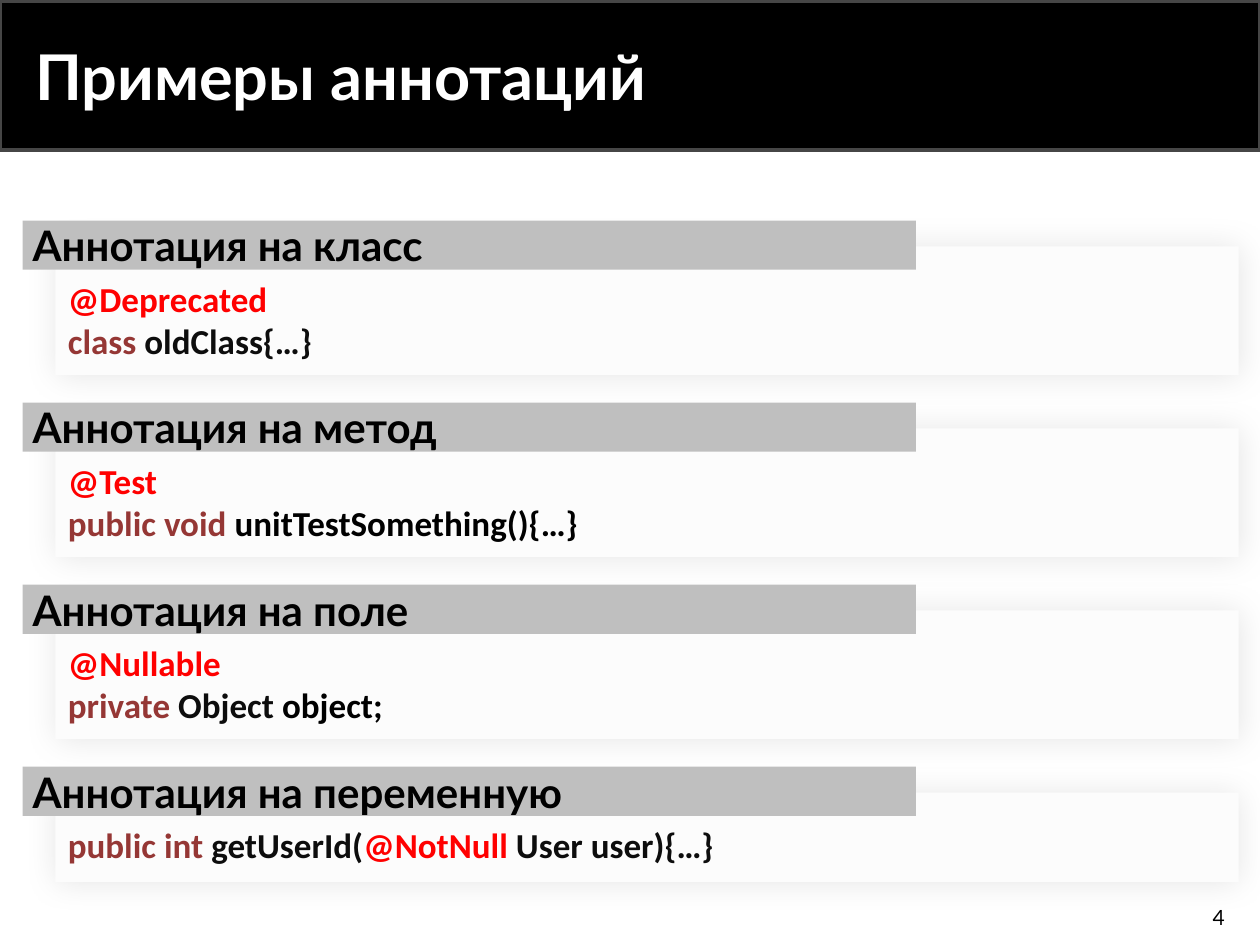
from dataclasses import dataclass
from typing import NamedTuple

from lxml import etree
from pptx import Presentation
from pptx import util as u
from pptx.dml.color import RGBColor
from pptx.enum import shapes, text
from pptx.oxml import ns

CELL = u.Inches(0.1)  # the slide is a grid of 100 columns by 75 rows
COLUMNS, ROWS = 100, 75
FIRST_ROW, ROW_STEP = 17.5, 14.45
MARGIN, INDENT = 1.8, 4.4


@dataclass(frozen=True)
class Theme:
    black: str = "000000"
    white: str = "FFFFFF"
    banner_edge: str = "464646"
    card: str = "FCFCFC"
    strip: str = "BFBFBF"
    annotation: str = "FF0000"
    keyword: str = "953735"
    code: str = "0D0D0D"
    heading_font: str = "Lato"
    code_font: str = "Calibri"
    title_size: int = 36
    heading_size: int = 24
    code_size: int = 20
    number_size: int = 12


THEME = Theme()


class Box(NamedTuple):
    """Place on the grid, in columns and rows."""
    left: float
    top: float
    width: float
    height: float

    def emu(self) -> list[int]:
        return [round(length * CELL) for length in self]


class Span(NamedTuple):
    wording: str
    color: str


class Example(NamedTuple):
    heading: str
    lines: list[list[Span]]
    card_rows: float = 10.2
    code_rows: float = 7.7


def annotation(wording: str) -> Span:
    return Span(wording, THEME.annotation)


def keyword(wording: str) -> Span:
    return Span(wording, THEME.keyword)


def code(wording: str, color: str = THEME.code) -> Span:
    return Span(wording, color)


EXAMPLES = [
    Example("Аннотация на класс", [
        [annotation("@Deprecated")],
        [keyword("class "), code("oldClass{…}")]]),
    Example("Аннотация на метод", [
        [annotation("@Test")],
        [keyword("public void "), code("unitTestSomething(){…}", THEME.black)]]),
    Example("Аннотация на поле", [
        [annotation("@Nullable")],
        [keyword("private "), code("Object "), code("object;", THEME.black)]]),
    Example("Аннотация на переменную", [
        [keyword("public int "), code("getUserId("), annotation("@NotNull "),
         code("User user){…}")]], card_rows=7.1, code_rows=4.4),
]


def write(frame, lines: list[list[Span]], *, font: str, size: float, bold: bool = True,
          align=text.PP_ALIGN.LEFT, anchor=text.MSO_ANCHOR.MIDDLE,
          space_after: float = 0) -> None:
    frame.word_wrap = True
    frame.auto_size = text.MSO_AUTO_SIZE.NONE
    frame.vertical_anchor = anchor
    for index, spans in enumerate(lines):
        paragraph = frame.add_paragraph() if index else frame.paragraphs[0]
        paragraph.alignment = align
        paragraph.space_before, paragraph.space_after = u.Pt(0), u.Pt(space_after)
        for span in spans:
            run = paragraph.add_run()
            run.text = span.wording
            run.font.name, run.font.size, run.font.bold = font, u.Pt(size), bold
            run.font.color.rgb = RGBColor.from_string(span.color)


def add_rectangle(parent, box: Box, fill: str):
    rectangle = parent.add_shape(shapes.MSO_SHAPE.RECTANGLE, *box.emu())
    rectangle.shadow.inherit = False
    rectangle.fill.solid()
    rectangle.fill.fore_color.rgb = RGBColor.from_string(fill)
    rectangle.line.fill.background()
    return rectangle


def add_soft_shadow(shape, blur: float = 19, opacity: int = 10) -> None:
    effects = shape._element.spPr.find(ns.qn("a:effectLst"))
    shadow = etree.SubElement(effects, ns.qn("a:outerShdw"), blurRad=str(u.Pt(blur)),
                              dist="0", dir="0", algn="ctr", rotWithShape="0")
    color = etree.SubElement(shadow, ns.qn("a:srgbClr"), val=THEME.black)
    etree.SubElement(color, ns.qn("a:alpha"), val=str(opacity * 1000))


def add_title(slide, wording: str) -> None:
    banner = add_rectangle(slide.shapes, Box(0, 0.1, COLUMNS, 11.8), THEME.black)
    banner.line.color.rgb = RGBColor.from_string(THEME.banner_edge)
    banner.line.width = u.Pt(2)
    title = slide.shapes.title
    banner._element.addnext(title._element)  # title in front of its banner
    title.left, title.top, title.width, title.height = Box(MARGIN, 1, 81.5, 10).emu()
    write(title.text_frame, [[Span(wording, THEME.white)]],
          font=THEME.heading_font, size=THEME.title_size)


def add_example(slide, example: Example, top: float) -> None:
    group = slide.shapes.add_group_shape().shapes
    card = add_rectangle(group, Box(INDENT, top + 2.05, 93.9, example.card_rows), THEME.card)
    add_soft_shadow(card)

    strip = add_rectangle(group, Box(MARGIN, top, 70.9, 3.9), THEME.strip)
    frame = strip.text_frame
    frame.margin_left = frame.margin_right = u.Inches(0.08)
    frame.margin_top = frame.margin_bottom = u.Inches(0.04)
    write(frame, [[Span(example.heading, THEME.black)]], font=THEME.heading_font,
          size=THEME.heading_size, space_after=6)

    listing = group.add_textbox(*Box(INDENT, top + 4.05, 79.5, example.code_rows).emu())
    write(listing.text_frame, example.lines, font=THEME.code_font,
          size=THEME.code_size, anchor=text.MSO_ANCHOR.TOP)
    listing.text_frame.auto_size = text.MSO_AUTO_SIZE.SHAPE_TO_FIT_TEXT


def add_page_number(slide, number: int) -> None:
    corner = slide.shapes.add_textbox(*Box(75.4, 71.3, 22.8, 3).emu())
    write(corner.text_frame, [[Span(str(number), THEME.black)]], font=THEME.heading_font,
          size=THEME.number_size, bold=False, align=text.PP_ALIGN.RIGHT)


def main() -> None:
    deck = Presentation()
    deck.slide_width, deck.slide_height = COLUMNS * CELL, ROWS * CELL
    slide = deck.slides.add_slide(deck.slide_layouts[5])
    add_title(slide, "Примеры аннотаций")
    add_page_number(slide, 4)
    for index, example in enumerate(EXAMPLES):
        add_example(slide, example, FIRST_ROW + index * ROW_STEP)
    deck.save("out.pptx")


if __name__ == "__main__":
    main()
